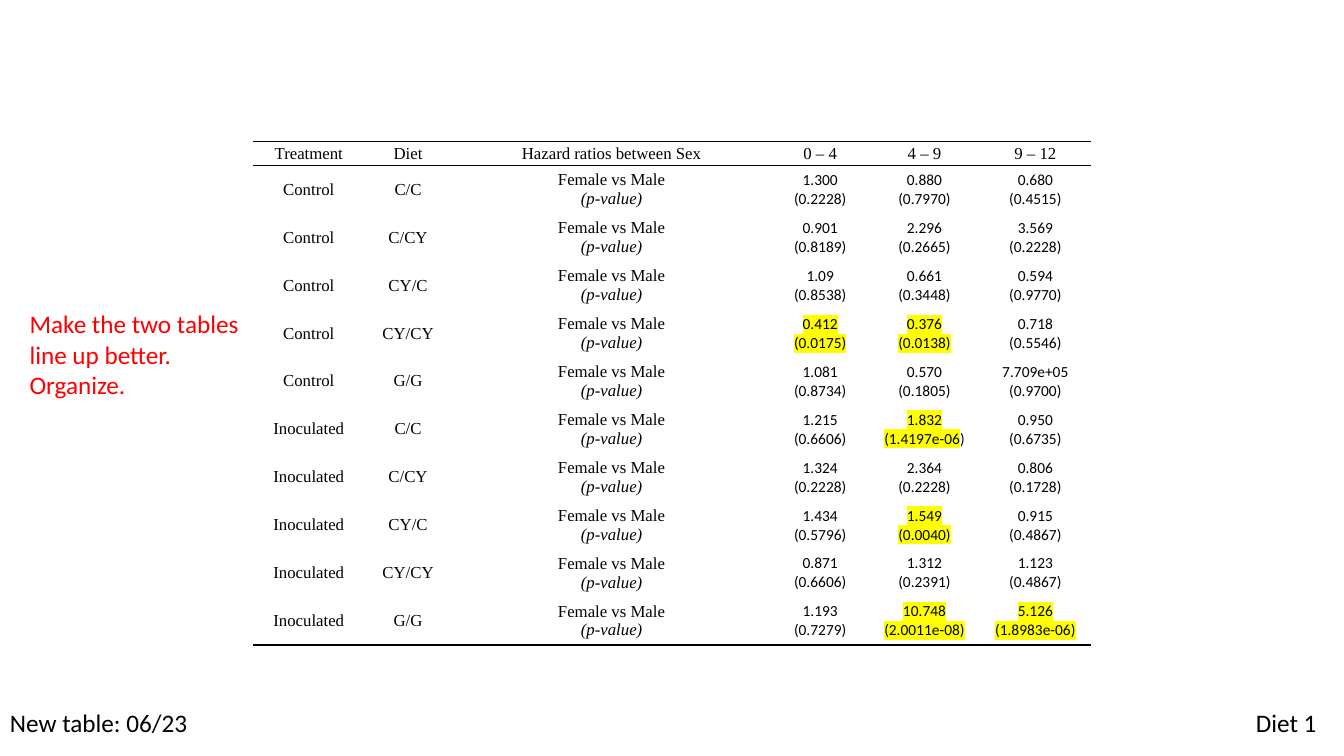
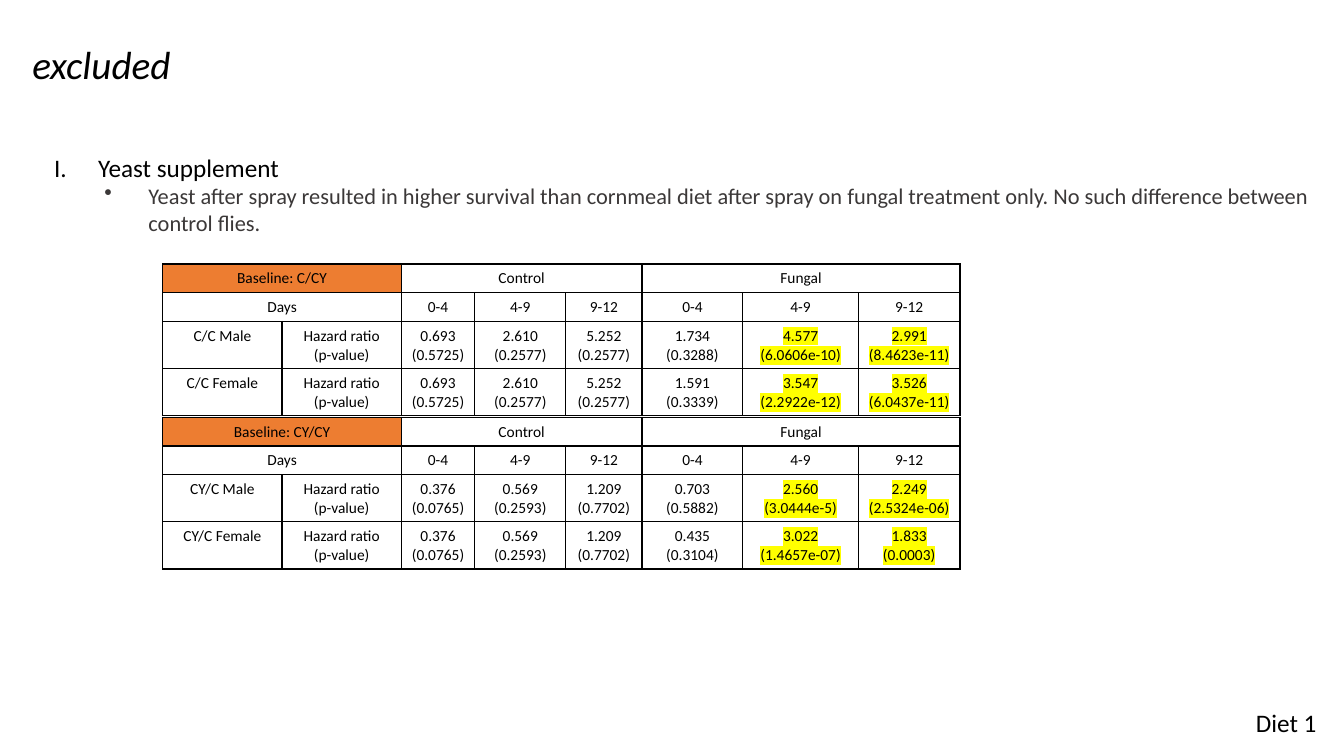
from collections import namedtuple

from lxml.etree import SubElement
from pptx import Presentation
from pptx.dml.color import RGBColor
from pptx.enum.text import MSO_ANCHOR, MSO_AUTO_SIZE, PP_ALIGN
from pptx.oxml import parse_xml
from pptx.oxml.ns import nsdecls, qn
from pptx.util import Pt

COLORS = {"ink": "000000", "note": "FF0000", "detail": "3B3838",
          "baseline": "ED7D31", "mark": "FFFF00"}
SANS, SERIF = "Calibri", "Times New Roman"
SIGNIFICANT = 0.05
Box = namedtuple("Box", "left top width height")

# Each result is a hazard ratio and its p-value; "|" ends a highlight early
SEX_RESULTS = [
    ("Control", "C/C", "1.300 0.2228", "0.880 0.7970", "0.680 0.4515"),
    ("Control", "C/CY", "0.901 0.8189", "2.296 0.2665", "3.569 0.2228"),
    ("Control", "CY/C", "1.09 0.8538", "0.661 0.3448", "0.594 0.9770"),
    ("Control", "CY/CY", "0.412 0.0175", "0.376 0.0138", "0.718 0.5546"),
    ("Control", "G/G", "1.081 0.8734", "0.570 0.1805", "7.709e+05 0.9700"),
    ("Inoculated", "C/C", "1.215 0.6606", "1.832 1.4197e-06|", "0.950 0.6735"),
    ("Inoculated", "C/CY", "1.324 0.2228", "2.364 0.2228", "0.806 0.1728"),
    ("Inoculated", "CY/C", "1.434 0.5796", "1.549 0.0040", "0.915 0.4867"),
    ("Inoculated", "CY/CY", "0.871 0.6606", "1.312 0.2391", "1.123 0.4867"),
    ("Inoculated", "G/G", "1.193 0.7279", "10.748 2.0011e-08", "5.126 1.8983e-06"),
]
BASELINES = [
    ("Baseline: C/CY", [
        ("C/C Male", "0.693 0.5725", "2.610 0.2577", "5.252 0.2577",
         "1.734 0.3288", "4.577 6.0606e-10", "2.991 8.4623e-11"),
        ("C/C Female", "0.693 0.5725", "2.610 0.2577", "5.252 0.2577",
         "1.591 0.3339", "3.547 2.2922e-12", "3.526 6.0437e-11")]),
    ("Baseline: CY/CY", [
        ("CY/C Male", "0.376 0.0765", "0.569 0.2593", "1.209 0.7702",
         "0.703 0.5882", "2.560 3.0444e-5", "2.249 2.5324e-06"),
        ("CY/C Female", "0.376 0.0765", "0.569 0.2593", "1.209 0.7702",
         "0.435 0.3104", "3.022 1.4657e-07", "1.833 0.0003")]),
]


def write(paragraph, text, size=18, font=SANS, color="ink", italic=False,
          mark=False, align=None, line_spacing=None):
    """Add a formatted run to a paragraph."""
    if align is not None:
        paragraph.alignment = align
    if line_spacing:
        paragraph.line_spacing = line_spacing
    run = paragraph.add_run()
    run.text = text
    run.font.size, run.font.bold, run.font.italic = Pt(size), False, italic
    run.font.color.rgb = RGBColor.from_string(COLORS[color])
    if mark:
        highlight = SubElement(run.font._element, qn("a:highlight"))
        SubElement(highlight, qn("a:srgbClr")).set("val", COLORS["mark"])
    run.font.name = font


def text_frame(slide, box, wrap=True, grow=True):
    frame = slide.shapes.add_textbox(*map(Pt, box)).text_frame
    frame.word_wrap = wrap
    frame.auto_size = MSO_AUTO_SIZE.SHAPE_TO_FIT_TEXT if grow else MSO_AUTO_SIZE.NONE
    return frame


def add_text(slide, box, text, wrap=True, grow=True, **style):
    write(text_frame(slide, box, wrap, grow).paragraphs[0], text, **style)


def add_bullet(paragraph, indent, hanging, kind, **attributes):
    props = paragraph._p.get_or_add_pPr()
    props.set("marL", str(Pt(indent)))
    props.set("indent", str(-Pt(hanging)))
    bullet = SubElement(props, qn(f"a:{kind}"))
    for key, value in attributes.items():
        bullet.set(key, value)


# Table parts
def add_grid(slide, box, columns, rows):
    table = slide.shapes.add_table(len(rows), len(columns), *map(Pt, box)).table
    table.first_row = table.horz_banding = False
    for column, width in zip(table.columns, columns):
        column.width = Pt(width)
    for row, height in zip(table.rows, rows):
        row.height = Pt(height)
    for cell in table.iter_cells():
        cell.fill.background()
    return table


def set_borders(cell, ruled):
    """Rule the named sides in ink and clear the others."""
    props = cell._tc.get_or_add_tcPr()
    for place, side in enumerate("LRTB"):
        paint = (f'<a:solidFill><a:srgbClr val="{COLORS["ink"]}"/></a:solidFill>'
                 if side in ruled else "<a:noFill/>")
        props.insert(place, parse_xml(
            f'<a:ln{side} {nsdecls("a")} w="{Pt(1)}">{paint}</a:ln{side}>'))


def fill_cell(cell, *lines, **style):
    frame = cell.text_frame
    for index, line in enumerate(lines):
        paragraph = frame.add_paragraph() if index else frame.paragraphs[0]
        write(paragraph, line, align=PP_ALIGN.CENTER, **style)


def fill_result(cell, result):
    """Write ratio over p-value, highlighted when significant."""
    ratio, p_value = result.split()
    number = p_value.rstrip("|")
    mark = float(number) < SIGNIFICANT
    if number == p_value:
        fill_cell(cell, ratio, f"({number})", size=11, mark=mark)
    else:
        fill_cell(cell, ratio, f"({number}", size=11, mark=mark)
        write(cell.text_frame.paragraphs[-1], ")", size=11)


def sex_table(slide, box):
    columns = [79.2, 62.6, 228.2, 69.8, 79.2, 79.2]
    header = 17.5
    body = (box.height - header) / len(SEX_RESULTS)
    table = add_grid(slide, box, columns, [header] + [body] * len(SEX_RESULTS))
    serif = {"size": 12, "font": SERIF}
    last = len(SEX_RESULTS)
    for r in range(last + 1):
        ruled = {0: "TB", 1: "T", last: "B"}.get(r, "")
        for c in range(len(columns)):
            cell = table.cell(r, c)
            cell.vertical_anchor = MSO_ANCHOR.MIDDLE
            if r == 0 or c < 3:
                cell.margin_left = cell.margin_right = Pt(3.6)
                cell.margin_top = cell.margin_bottom = Pt(1.4)
            set_borders(cell, ruled)
    headings = ["Treatment", "Diet", "Hazard ratios between Sex",
                "0 – 4", "4 – 9", "9 – 12"]
    for c, heading in enumerate(headings):
        fill_cell(table.cell(0, c), heading, **serif)
    for r, (treatment, diet, *results) in enumerate(SEX_RESULTS, 1):
        fill_cell(table.cell(r, 0), treatment, **serif)
        fill_cell(table.cell(r, 1), diet, **serif)
        comparison = table.cell(r, 2)
        fill_cell(comparison, "Female vs Male", **serif)
        write(comparison.text_frame.add_paragraph(), "(p-value)", italic=True,
              align=PP_ALIGN.CENTER, **serif)
        for c, result in enumerate(results, 3):
            fill_result(table.cell(r, c), result)


def baseline_table(slide, box, baseline, groups):
    columns = [85.2, 85.2, 52.5, 65, 54.4, 72.1, 82.5, 72.6]
    table = add_grid(slide, box, columns, [20.5, 20.5, 33.5, 33.5])
    for cell in table.iter_cells():
        set_borders(cell, "LRTB")
    # Merged headings
    for r, first, last, heading in [(0, 0, 1, baseline), (0, 2, 4, "Control"),
                                    (0, 5, 7, "Fungal"), (1, 0, 1, "Days")]:
        table.cell(r, first).merge(table.cell(r, last))
        fill_cell(table.cell(r, first), heading, size=11)
    for cell in (table.cell(0, 0), table.cell(0, 1)):
        cell.fill.solid()
        cell.fill.fore_color.rgb = RGBColor.from_string(COLORS["baseline"])
    for c, days in enumerate(["0-4", "4-9", "9-12"] * 2, 2):
        fill_cell(table.cell(1, c), days, size=11)
    # Results for each sex
    for r, (group, *results) in enumerate(groups, 2):
        fill_cell(table.cell(r, 0), group, size=11)
        fill_cell(table.cell(r, 1), "Hazard ratio", "(p-value)", size=11)
        for c, result in enumerate(results, 2):
            fill_result(table.cell(r, c), result)


def findings(slide, box):
    frame = text_frame(slide, box)
    topic = frame.paragraphs[0]
    add_bullet(topic, 31.5, 31.5, "buAutoNum", type="romanUcPeriod")
    write(topic, "Yeast supplement")
    finding = frame.add_paragraph()
    finding.level = 1
    add_bullet(finding, 67.5, 31.5, "buChar", char="•")
    write(finding, "Yeast after spray resulted in higher survival than cornmeal diet "
          "after spray on fungal treatment only. No such difference between "
          "control flies.", size=16, color="detail")


def new_slide(deck):
    slide = deck.slides.add_slide(deck.slide_layouts[6])
    add_text(slide, Box(890, 502, 62, 29), "Diet 1")
    return slide


def sex_slide(deck):
    slide = new_slide(deck)
    add_text(slide, Box(14, 217, 167, 73),
             "Make the two tables line up better. Organize.", color="note")
    sex_table(slide, Box(181, 100.8, 598.2, 360))
    add_text(slide, Box(0, 501.5, 142.5, 29), "New table: 06/23", wrap=False)


def excluded_slide(deck):
    slide = new_slide(deck)
    add_text(slide, Box(16, 29, 828, 343), "excluded", grow=False,
             size=28, italic=True, line_spacing=0.9)
    findings(slide, Box(31.5, 105, 913, 330))
    area = Box(116.3, 188.6, 569.5, 108)
    for index, (baseline, groups) in enumerate(BASELINES):
        box = area._replace(top=area.top + index * (area.height + 1.5))
        baseline_table(slide, box, baseline, groups)


def main():
    deck = Presentation()
    deck.slide_width, deck.slide_height = Pt(960), Pt(540)
    sex_slide(deck)
    excluded_slide(deck)
    deck.save("out.pptx")


if __name__ == "__main__":
    main()
